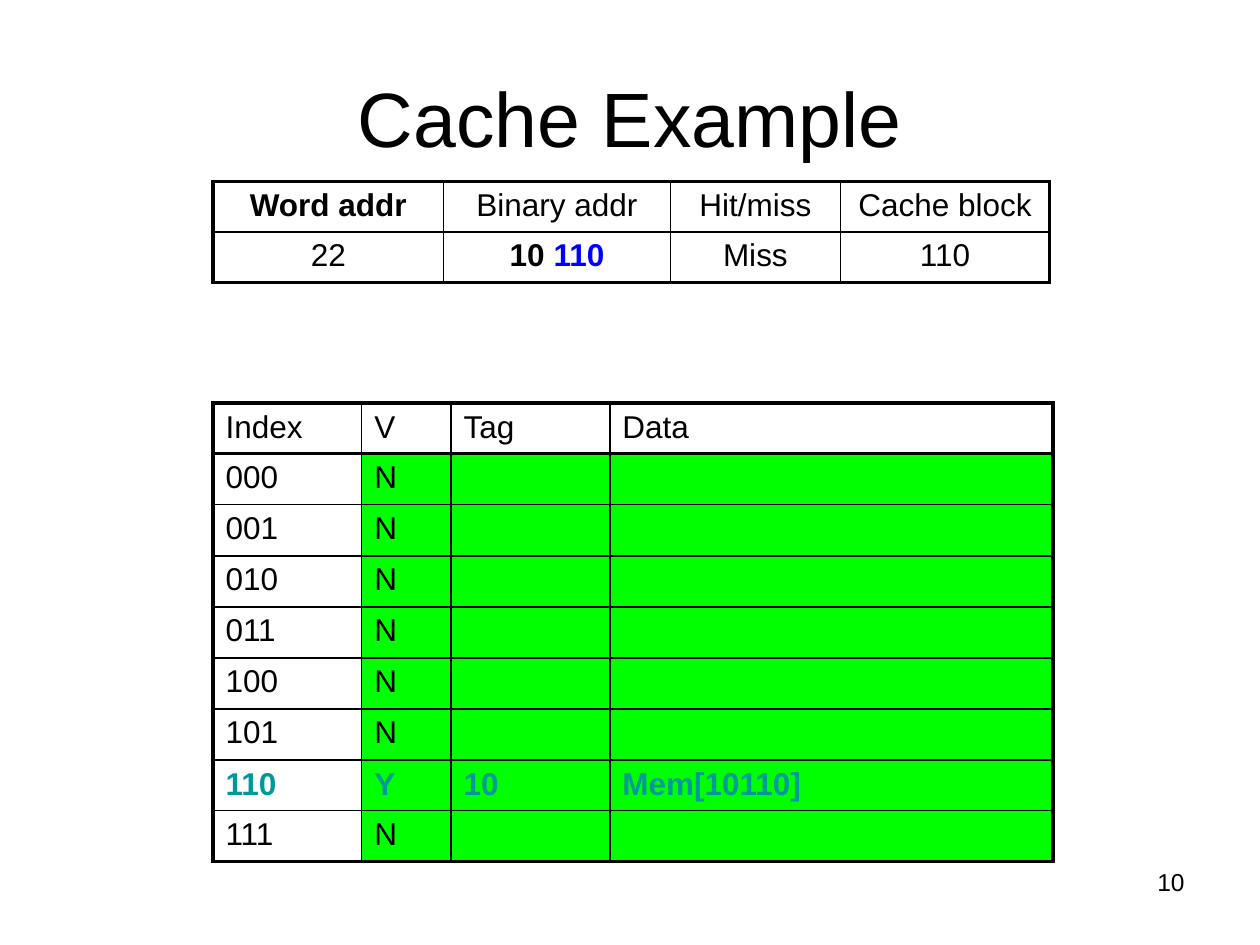
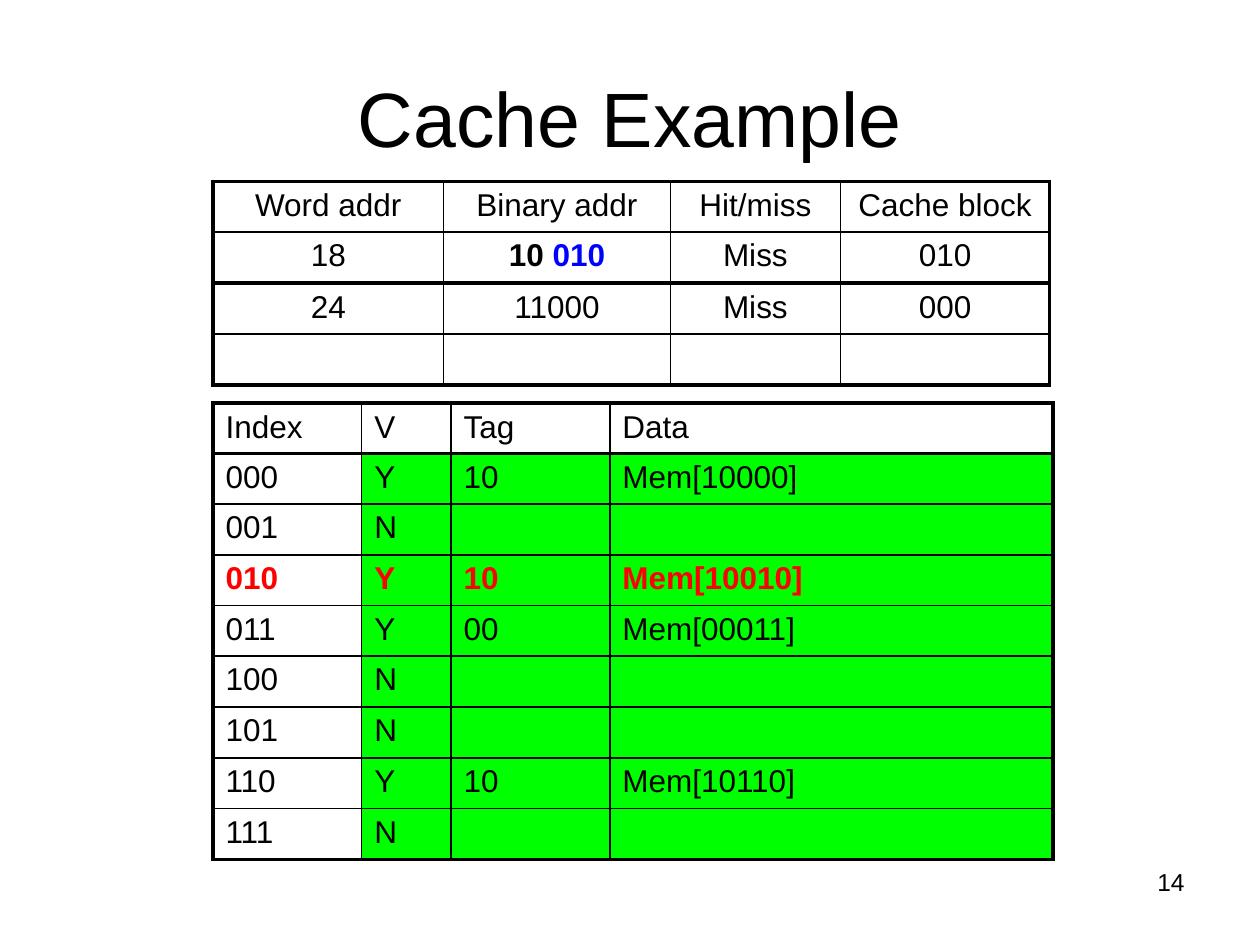
from dataclasses import dataclass
from typing import NamedTuple

from lxml import etree
from pptx import Presentation
from pptx.dml.color import RGBColor
from pptx.enum import text
from pptx.oxml import ns
from pptx.util import Pt

# Shared style
FONT = "Arial"
BLACK, BLUE, TEAL, RED, GREEN = "000000", "0000FF", "009999", "FF0000", "00FF00"
OUTER, HEADER, INNER = 2.25, 1.5, 1
ROW_HEIGHT = 28.8
TABLE_LEFT = 121.7
ALIGN = text.PP_ALIGN


class Run(NamedTuple):
    text: str
    color: str = BLACK
    bold: bool = False


Cell = tuple[Run, ...]
Row = list[Cell]


@dataclass
class Grid:
    top: float
    widths: tuple[float, ...]
    rows: list[Row]
    align: ALIGN
    filled: bool = False  # green below the header and right of the index


@dataclass
class CacheStep:
    number: str
    requests: list[list[Row]]  # one request table for each list of rows
    tags: dict[str, str]  # tag held by each valid index
    changed: str
    accent: str


# Drawing
def rgb(color: str) -> RGBColor:
    return RGBColor.from_string(color)


def write(frame, runs: Cell, size: float, align: ALIGN) -> None:
    paragraph = frame.paragraphs[0]
    paragraph.alignment = align
    paragraph.font.size = Pt(size)
    for part in runs:
        run = paragraph.add_run()
        run.text = part.text
        run.font.name = FONT
        run.font.size = Pt(size)
        run.font.bold = part.bold
        run.font.color.rgb = rgb(part.color)


def draw_borders(cell, widths: dict[str, float]) -> None:
    properties = cell._tc.get_or_add_tcPr()
    for side, width in widths.items():
        line = etree.SubElement(properties, ns.qn(f"a:ln{side}"), w=str(Pt(width)))
        fill = etree.SubElement(line, ns.qn("a:solidFill"))
        etree.SubElement(fill, ns.qn("a:srgbClr"), val=BLACK)


def draw_grid(slide, grid: Grid) -> None:
    last_row, last_column = len(grid.rows) - 1, len(grid.widths) - 1
    table = slide.shapes.add_table(
        len(grid.rows), len(grid.widths), Pt(TABLE_LEFT), Pt(grid.top),
        Pt(sum(grid.widths)), Pt(ROW_HEIGHT * len(grid.rows))).table
    table.first_row = table.horz_banding = False
    for column, width in zip(table.columns, grid.widths):
        column.width = Pt(width)
    for r, row in enumerate(grid.rows):
        table.rows[r].height = Pt(ROW_HEIGHT)
        for c, runs in enumerate(row):
            cell = table.cell(r, c)
            draw_borders(cell, {
                "L": OUTER if c == 0 else INNER,
                "R": OUTER if c == last_column else INNER,
                "T": {0: OUTER, 1: HEADER}.get(r, INNER),
                "B": {last_row: OUTER, 0: HEADER}.get(r, INNER),
            })
            if grid.filled and r > 0 and c > 0:
                cell.fill.solid()
                cell.fill.fore_color.rgb = rgb(GREEN)
            else:
                cell.fill.background()
            write(cell.text_frame, runs, 18, grid.align)


# Content rules
def plain(*words: str) -> Row:
    return [(Run(word),) if word else () for word in words]


def request(word: str, tag: str, index: str) -> Row:
    address = (Run(f"{tag} ", bold=True), Run(index, BLUE, True))
    return [(Run(word),), address, *plain("Miss", index)]


def request_header(bold_first: bool = False) -> Row:
    return [(Run("Word addr", bold=bold_first),),
            *plain("Binary addr", "Hit/miss", "Cache block")]


def cache_rows(step: CacheStep) -> list[Row]:
    rows = [plain("Index", "V", "Tag", "Data")]
    for index in (f"{block:03b}" for block in range(8)):
        tag = step.tags.get(index)
        words = (index, "Y", tag, f"Mem[{tag}{index}]") if tag else (index, "N", "", "")
        if index == step.changed:
            rows.append([(Run(word, step.accent, True),) for word in words])
        else:
            rows.append(plain(*words))
    return rows


def draw_step(deck, step: CacheStep) -> None:
    slide = deck.slides.add_slide(deck.slide_layouts[5])

    # Title
    title = slide.shapes.title
    title.left, title.top, title.width, title.height = Pt(36), Pt(21.6), Pt(648), Pt(90)
    title.text_frame.vertical_anchor = text.MSO_ANCHOR.MIDDLE
    write(title.text_frame, (Run("Cache Example"),), 44, ALIGN.CENTER)

    # Cache contents, then the requests above them
    draw_grid(slide, Grid(230.4, (85, 51.1, 90.7, 253.4), cache_rows(step),
                          ALIGN.LEFT, filled=True))
    for position, rows in enumerate(step.requests):
        draw_grid(slide, Grid(103.7 + 58.3 * position, (131.8, 129.6, 97.2, 119.5),
                              rows, ALIGN.CENTER))

    # Page number
    page = slide.shapes.add_textbox(Pt(516.2), Pt(491.8), Pt(167.8), Pt(37.4))
    page.text_frame.word_wrap = True
    write(page.text_frame, (Run(step.number),), 14, ALIGN.RIGHT)


STEPS = [
    CacheStep("10", [[request_header(bold_first=True), request("22", "10", "110")]],
              {"110": "10"}, "110", TEAL),
    CacheStep("14", [[request_header(), request("18", "10", "010")],
                     [plain("24", "11000", "Miss", "000"), plain("", "", "", "")]],
              {"000": "10", "010": "10", "011": "00", "110": "10"}, "010", RED),
]


def main() -> None:
    deck = Presentation()
    deck.slide_width, deck.slide_height = Pt(720), Pt(540)
    for step in STEPS:
        draw_step(deck, step)
    deck.save("out.pptx")


if __name__ == "__main__":
    main()
